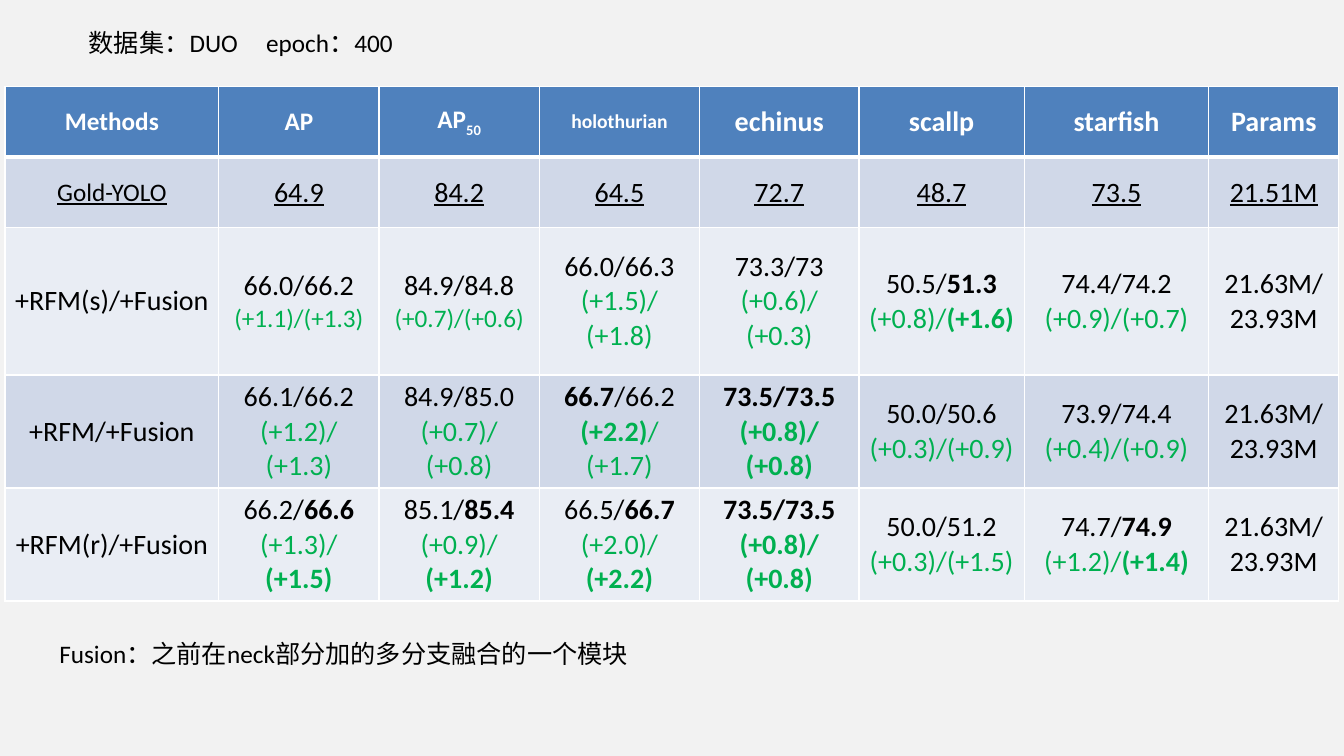
from lxml import etree
from pptx import Presentation
from pptx.dml.color import RGBColor
from pptx.enum.text import MSO_ANCHOR, MSO_AUTO_SIZE, PP_ALIGN
from pptx.oxml.ns import qn
from pptx.util import Inches, Pt

MIDDLE, TOP = MSO_ANCHOR.MIDDLE, MSO_ANCHOR.TOP
CENTER, LEFT = PP_ALIGN.CENTER, PP_ALIGN.LEFT
NO_AUTOFIT = MSO_AUTO_SIZE.NONE
FONT = "Calibri"
COLORS = {
    "background": "F2F2F2", "header": "4F81BD", "odd": "D0D8E8", "even": "E9EDF4",
    "border": "FFFFFF", "header_text": "FFFFFF", "text": "000000", "gain": "00B050",
}

HEADING = "数据集：DUO\tepoch：400"
NOTE = "Fusion：之前在neck部分加的多分支融合的一个模块"
HEADING_BOX = (0.78, 0.22, 6.12, 0.4)
NOTE_BOX = (0.49, 6.28, 9.32, 0.48)
EPOCH_TAB = 1.76

# Asterisks enclose bold text, underscores enclose subscripts.
METHODS = [
    ["Methods", "AP", "AP_50_", "holothurian", "echinus", "scallp", "starfish", "Params"],
    ["Gold-YOLO", "64.9", "84.2", "64.5", "72.7", "48.7", "73.5", "21.51M"],
    ["+RFM(s)/+Fusion", "66.0/66.2\n(+1.1)/(+1.3)", "84.9/84.8\n(+0.7)/(+0.6)",
     "66.0/66.3\n(+1.5)/(+1.8)", "73.3/73\n(+0.6)/(+0.3)",
     "50.5/*51.3*\n(+0.8)/*(+1.6)*", "74.4/74.2\n(+0.9)/(+0.7)", "21.63M/\n23.93M"],
    ["+RFM/+Fusion", "66.1/66.2\n(+1.2)/(+1.3)", "84.9/85.0\n(+0.7)/(+0.8)",
     "*66.7*/66.2\n*(+2.2)*/(+1.7)", "*73.5/73.5*\n*(+0.8)/(+0.8)*",
     "50.0/50.6\n(+0.3)/(+0.9)", "73.9/74.4\n(+0.4)/(+0.9)", "21.63M/\n23.93M"],
    ["+RFM(r)/+Fusion", "66.2/*66.6*\n(+1.3)/*(+1.5)*", "85.1/*85.4*\n(+0.9)/*(+1.2)*",
     "66.5/*66.7*\n(+2.0)/*(+2.2)*", "*73.5/73.5*\n*(+0.8)/(+0.8)*",
     "50.0/51.2\n(+0.3)/(+1.5)", "74.7/*74.9*\n(+1.2)/*(+1.4)*", "21.63M/\n23.93M"],
]
TABLE_LEFT, TABLE_TOP = 0.05, 0.86
COLUMN_WIDTHS = [2.12, 1.59, 1.59, 1.59, 1.58, 1.64, 1.83, 1.29]
ROW_HEIGHTS = [0.7, 0.7, 1.46, 1.11, 0.92]
BASE_SIZE = 20
CELL_SIZES = {(0, 0): 18, (0, 1): 18, (0, 2): 18, (0, 3): 14, (1, 0): 18}
GAIN_SIZES = {(2, 1): 18, (2, 2): 18}


def rgb(name):
    return RGBColor.from_string(COLORS[name])


def style_font(font, size, color, bold=False):
    font.name, font.size, font.bold = FONT, Pt(size), bold
    font.color.rgb = rgb(color)


def place(shape, box):
    shape.left, shape.top, shape.width, shape.height = map(Inches, box)


def write_caption(shape, text):
    frame = shape.text_frame
    frame.text = text
    frame.word_wrap = True
    frame.auto_size = NO_AUTOFIT
    frame.vertical_anchor = TOP
    paragraph = frame.paragraphs[0]
    paragraph.alignment = LEFT
    style_font(paragraph.runs[0].font, 18, "text")
    return paragraph


def add_tab_stop(paragraph, position):
    stops = etree.SubElement(paragraph._p.get_or_add_pPr(), qn("a:tabLst"))
    etree.SubElement(stops, qn("a:tab"), pos=str(Inches(position)), algn="l")


def set_borders(cell, row):
    widths = {"lnL": 1, "lnR": 1, "lnT": 3 if row == 1 else 1, "lnB": 3 if row == 0 else 1}
    properties = cell._tc.get_or_add_tcPr()
    for side, width in widths.items():
        line = etree.SubElement(properties, qn("a:" + side), w=str(Pt(width)))
        fill = etree.SubElement(line, qn("a:solidFill"))
        etree.SubElement(fill, qn("a:srgbClr"), val=COLORS["border"])


def write_line(paragraph, line, row, column):
    paragraph.alignment = CENTER
    is_gain = line.startswith(("(", "*("))
    size = CELL_SIZES.get((row, column), BASE_SIZE)
    if is_gain:
        size = GAIN_SIZES.get((row, column), size)
    color = "header_text" if row == 0 else "gain" if is_gain else "text"
    for i, strong in enumerate(line.split("*")):
        for j, part in enumerate(strong.split("_")):
            if not part:
                continue
            run = paragraph.add_run()
            run.text = part
            style_font(run.font, size, color, row == 0 or i % 2 == 1)
            if row == 1:
                run.font.underline = True
            if j % 2 == 1:
                run._r.get_or_add_rPr().set("baseline", "-25000")


def fill_cell(cell, text, row, column):
    set_borders(cell, row)
    cell.fill.solid()
    cell.fill.fore_color.rgb = rgb("header" if row == 0 else "odd" if row % 2 else "even")
    cell.vertical_anchor = MIDDLE
    for i, line in enumerate(text.split("\n")):
        paragraphs = cell.text_frame
        paragraph = paragraphs.add_paragraph() if i else paragraphs.paragraphs[0]
        write_line(paragraph, line, row, column)


def main():
    deck = Presentation()
    deck.slide_width, deck.slide_height = Inches(13.33), Inches(7.5)
    slide = deck.slides.add_slide(deck.slide_layouts[5])
    slide.background.fill.solid()
    slide.background.fill.fore_color.rgb = rgb("background")

    heading = slide.shapes.title
    place(heading, HEADING_BOX)
    add_tab_stop(write_caption(heading, HEADING), EPOCH_TAB)

    results = slide.shapes.add_table(
        len(METHODS), len(COLUMN_WIDTHS), Inches(TABLE_LEFT), Inches(TABLE_TOP),
        Inches(sum(COLUMN_WIDTHS)), Inches(sum(ROW_HEIGHTS))).table
    for column, width in zip(results.columns, COLUMN_WIDTHS):
        column.width = Inches(width)
    for row, height in zip(results.rows, ROW_HEIGHTS):
        row.height = Inches(height)
    for row, values in enumerate(METHODS):
        for column, text in enumerate(values):
            fill_cell(results.cell(row, column), text, row, column)

    note = slide.shapes.add_textbox(*map(Inches, NOTE_BOX))
    write_caption(note, NOTE)
    deck.save("out.pptx")


if __name__ == "__main__":
    main()
